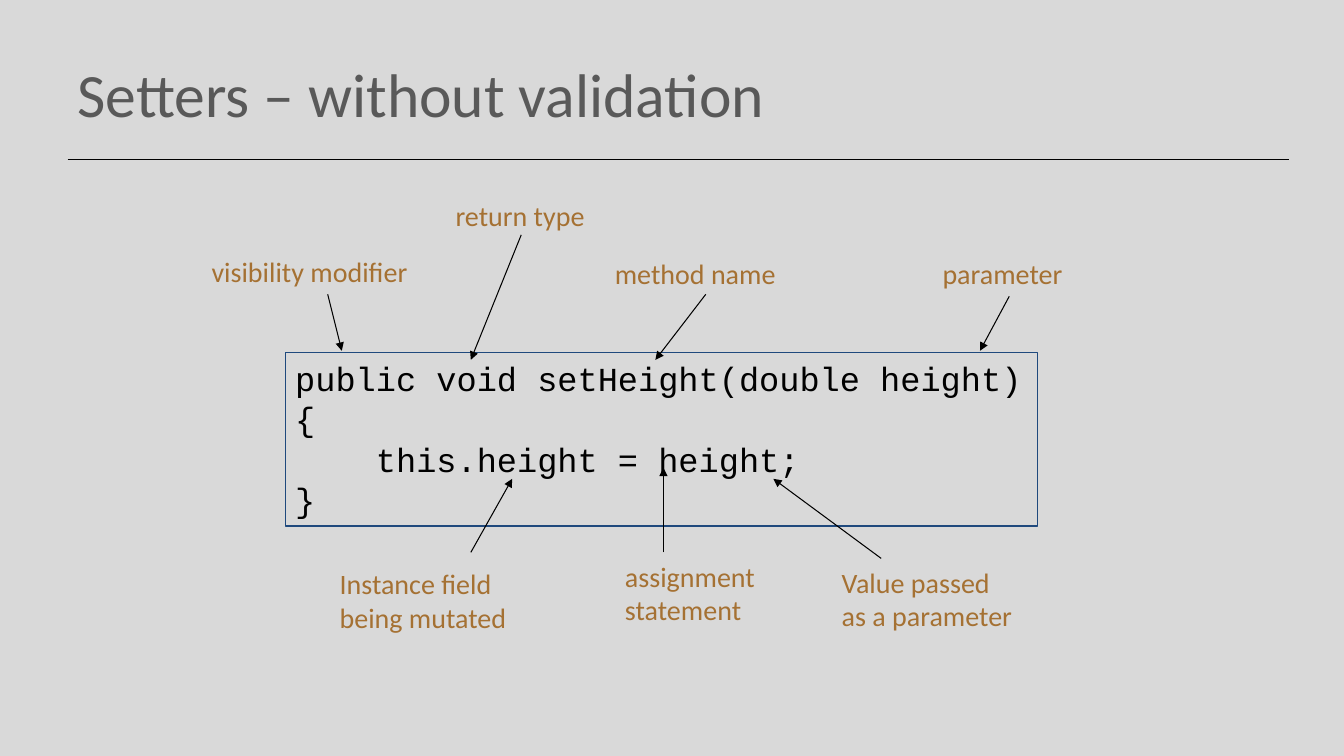
"""Build a slide that labels the parts of a setter method without validation."""
from lxml import etree
from pptx import Presentation
from pptx import util as u
from pptx.dml.color import RGBColor
from pptx.enum import shapes, text
from pptx.oxml.ns import qn

COLOURS = {
    "background": "D9D9D9",
    "title": "595959",
    "line": "000000",
    "code": "000000",
    "border": "1F497D",
    "label": "A57133",
}
FORMATS = {
    "title": {"name": "Calibri", "size": u.Pt(44), "bold": False},
    "code": {"name": "Courier New", "size": u.Pt(24)},
    "label": {"name": "Calibri", "size": u.Pt(20)},
}
CODE = [
    "public void setHeight(double height)",
    "{",
    "    this.height = height;",
    "}",
]
LABELS = [
    (["return type"], (4.42, 1.92, 1.49, 0.44), (5.17, 2.33, 4.67, 3.57)),
    (["method name"], (6, 2.5, 1.81, 0.44), (7, 2.92, 6.5, 3.57)),
    (["parameter"], (9.25, 2.5, 1.4, 0.44), (10.01, 2.94, 9.72, 3.48)),
    (["visibility modifier"], (2, 2.48, 2.17, 0.44), (3.25, 2.92, 3.39, 3.48)),
    (["assignment", "statement"], (6.1, 5.5, 1.57, 0.77), (6.58, 5.48, 6.58, 4.64)),
    (["Instance field", "being mutated"], (3.27, 5.57, 1.87, 0.77), (4.67, 5.48, 5.08, 4.75)),
    (["Value passed", "as a parameter"], (8.25, 5.56, 1.94, 0.77), (8.74, 5.54, 7.67, 4.75)),
]


def inches(values):
    """Convert numbers to lengths in inches."""
    return [u.Inches(value) for value in values]


def colour(role):
    """Return the colour of a part of the slide."""
    return RGBColor.from_string(COLOURS[role])


def write(frame, lines, role):
    """Write left-aligned lines in the format of their role."""
    frame.text = "\n".join(lines)
    for paragraph in frame.paragraphs:
        paragraph.alignment = text.PP_ALIGN.LEFT
        for run in paragraph.runs:
            for attribute, value in FORMATS[role].items():
                setattr(run.font, attribute, value)
            run.font.color.rgb = colour(role)


def fit_to_text(frame):
    """Let a box grow with its unwrapped text."""
    frame.word_wrap = False
    frame.auto_size = text.MSO_AUTO_SIZE.SHAPE_TO_FIT_TEXT


def add_title(slide, wording):
    """Place and format the title."""
    title = slide.shapes.title
    title.left, title.top, title.width, title.height = inches((0.67, 0.3, 12, 1.25))
    title.text_frame.vertical_anchor = text.MSO_ANCHOR.MIDDLE
    write(title.text_frame, [wording], "title")


def add_line(slide, ends, width, arrow=False):
    """Draw a straight line, with an arrowhead at its end if asked."""
    line = slide.shapes.add_connector(shapes.MSO_CONNECTOR.STRAIGHT, *inches(ends))
    line.line.color.rgb = colour("line")
    line.line.width = u.Pt(width)
    if arrow:
        etree.SubElement(line.line._get_or_add_ln(), qn("a:tailEnd"), type="triangle")
    etree.SubElement(line._element.spPr, qn("a:effectLst"))


def add_code(slide, lines, place):
    """Add the outlined code box."""
    code = slide.shapes.add_shape(shapes.MSO_SHAPE.RECTANGLE, *inches(place))
    code.shadow.inherit = False
    code.fill.background()
    code.line.color.rgb = colour("border")
    code.line.width = u.Pt(1)
    code.text_frame.vertical_anchor = text.MSO_ANCHOR.TOP
    write(code.text_frame, lines, "code")
    fit_to_text(code.text_frame)


def add_label(slide, lines, place):
    """Add a label that names a part of the code."""
    label = slide.shapes.add_textbox(*inches(place))
    write(label.text_frame, lines, "label")
    fit_to_text(label.text_frame)


def main():
    """Build and save the slide."""
    deck = Presentation()
    deck.slide_width, deck.slide_height = inches((13.33, 7.5))
    slide = deck.slides.add_slide(deck.slide_layouts[5])
    slide.background.fill.solid()
    slide.background.fill.fore_color.rgb = colour("background")
    add_line(slide, (0.67, 1.58, 12.78, 1.58), 1)
    add_title(slide, "Setters – without validation")
    add_code(slide, CODE, (2.83, 3.5, 7.46, 1.72))
    for lines, place, arrow_ends in LABELS:
        add_label(slide, lines, place)
        add_line(slide, arrow_ends, 0.75, arrow=True)
    deck.save("out.pptx")


if __name__ == "__main__":
    main()
